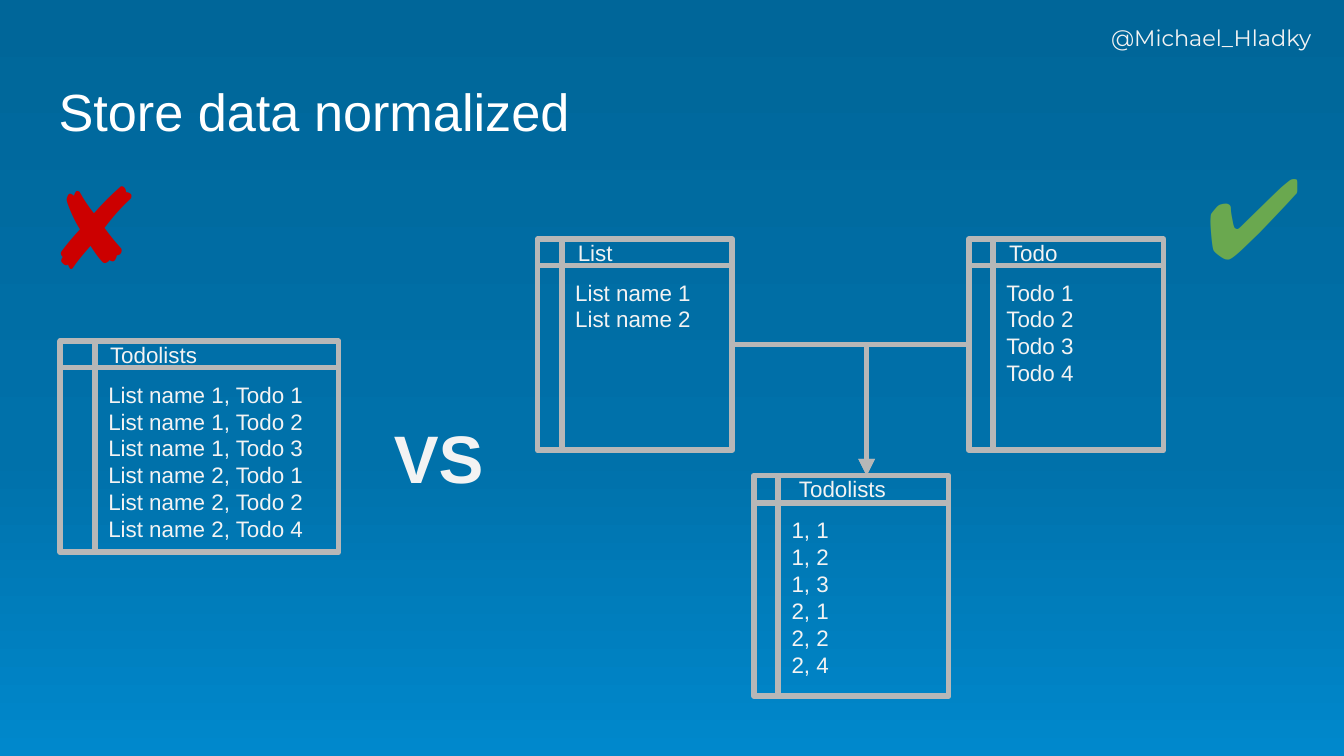
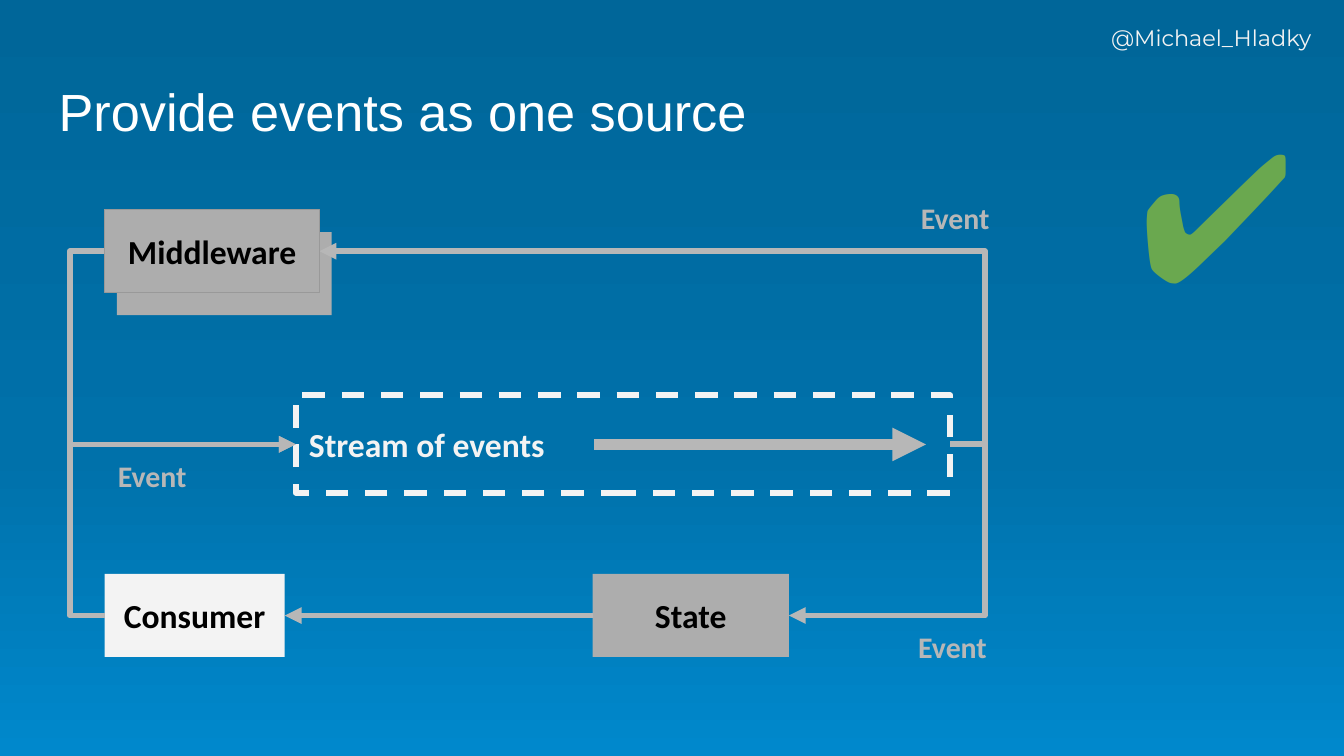
from copy import deepcopy

from lxml.etree import SubElement
from pptx import Presentation
from pptx.dml.color import RGBColor
from pptx.enum.dml import MSO_LINE
from pptx.enum.shapes import MSO_CONNECTOR as Link, MSO_SHAPE as Preset
from pptx.enum.text import MSO_ANCHOR as Anchor, PP_ALIGN as Align
from pptx.oxml.ns import qn
from pptx.util import Cm, Pt

WHITE, PALE, LINE_GRAY = "FFFFFF", "F3F3F3", "B7B7B7"
CARD_GRAY, EDGE_GRAY, BLACK = "ADADAD", "999999", "000000"
RED, GREEN = "CC0000", "6AA84F"
BACKDROP = [(0, "006699"), (0.6, "0071AA"), (1, "0088CC")]
INSET = 0.25
CARD_HEIGHT = 1.57


def rgb(color):
    return RGBColor.from_string(color)


def set_backdrop(master):
    """Give every slide the shared vertical three-colour gradient."""
    fill = master.background.fill
    fill.gradient()
    fill.gradient_angle = 270
    stop_list = master.element.find(".//" + qn("a:gsLst"))
    stop_list.append(deepcopy(stop_list[-1]))
    for stop, (position, color) in zip(fill.gradient_stops, BACKDROP):
        stop.position = position
        stop.color.rgb = rgb(color)


def write(shape, lines, size, color=PALE, font="Arial", bold=False,
          align=Align.LEFT, anchor=Anchor.TOP):
    frame = shape.text_frame
    frame.word_wrap = True
    frame.vertical_anchor = anchor
    frame.margin_left = frame.margin_right = Cm(INSET)
    frame.margin_top = frame.margin_bottom = Cm(INSET)
    frame.text = "\n".join(lines)
    for paragraph in frame.paragraphs:
        paragraph.alignment = align
        paragraph.font.name = font
        paragraph.font.size = Pt(size)
        paragraph.font.bold = bold
        paragraph.font.color.rgb = rgb(color)


def add_label(slide, box, text, size, **style):
    write(slide.shapes.add_textbox(*map(Cm, box)), [text], size, **style)


def draw_line(line, color, width):
    line.color.rgb = rgb(color)
    line.width = Pt(width)


def add_box(slide, preset, box, fill=None, edge=None, width=3):
    shape = slide.shapes.add_shape(preset, *map(Cm, box))
    shape.shadow.inherit = False
    if fill:
        shape.fill.solid()
        shape.fill.fore_color.rgb = rgb(fill)
    else:
        shape.fill.background()
    if edge:
        draw_line(shape.line, edge, width)
        SubElement(shape.line._get_or_add_ln(), qn("a:round"))
    else:
        shape.line.fill.background()
    return shape


def add_card(slide, box, text, fill=CARD_GRAY, **edge):
    card = add_box(slide, Preset.RECTANGLE, box, fill, **edge)
    write(card, [text], 18, BLACK, "Calibri", True, Align.CENTER, Anchor.MIDDLE)
    return card


def add_entity(slide, box, name, rows, indent=0.51):
    """Draw a storage symbol with its rows and its name in the top strip."""
    left, top, width, _ = box
    storage = add_box(slide, Preset.FLOWCHART_INTERNAL_STORAGE, box, edge=LINE_GRAY)
    write(storage, rows, 12)
    add_label(slide, (left + indent, top, width - indent, 0.51), name, 12,
              anchor=Anchor.MIDDLE)


def add_arrow(slide, start, end, kind=Link.STRAIGHT, width=3):
    arrow = slide.shapes.add_connector(kind, *map(Cm, start + end))
    draw_line(arrow.line, LINE_GRAY, width)
    ln = arrow.line._get_or_add_ln()
    SubElement(ln, qn("a:round"))
    SubElement(ln, qn("a:tailEnd"), type="triangle")
    SubElement(arrow.element.spPr, qn("a:effectLst"))
    return arrow


def add_corner_arrow(slide, start, end):
    """Run sideways from start, then turn once towards end."""
    arrow = add_arrow(slide, start, end, Link.ELBOW)
    arrow.element.spPr.find(qn("a:prstGeom")).set("prst", "bentConnector2")


def add_rail_arrow(slide, start, end, rail):
    """Run from start to end by way of a vertical rail at the given x."""
    arrow = add_arrow(slide, start, end, Link.ELBOW)
    ratio = (rail - start[0]) / (end[0] - start[0])
    SubElement(arrow.element.spPr.find(".//" + qn("a:avLst")), qn("a:gd"),
               name="adj1", fmla=f"val {round(ratio * 100000)}")


def add_mark(slide, box, symbol, size, color, font):
    add_label(slide, box, symbol, size, color=color, font=font, anchor=Anchor.MIDDLE)


def add_titled_slide(deck, title):
    slide = deck.slides.add_slide(deck.slide_layouts[6])
    add_label(slide, (20.75, 0.2, 4.32, 1.14), "@Michael_Hladky", 12, font="Montserrat")
    add_label(slide, (0.86, 1.24, 23.67, 1.6), title, 28, color=WHITE)
    return slide


def build_normalized(deck):
    slide = add_titled_slide(deck, "Store data normalized")
    pairs = [(1, 1), (1, 2), (1, 3), (2, 1), (2, 2), (2, 4)]
    width, height, top = 3.68, 3.99, 4.52
    list_left, todo_left, join_top = 10.16, 18.31, 8.99

    add_entity(slide, (1.14, 6.45, 5.26, height), "Todolists",
               [f"List name {item}, Todo {todo}" for item, todo in pairs], 0.69)
    add_entity(slide, (list_left, top, width, height), "List",
               [f"List name {n}" for n in (1, 2)])
    add_entity(slide, (todo_left, top, width, height), "Todo",
               [f"Todo {n}" for n in range(1, 5)])
    add_entity(slide, (14.25, join_top, width, 4.17), "Todolists",
               [f"{item}, {todo}" for item, todo in pairs], 0.6)

    for side in (list_left + width, todo_left):
        add_corner_arrow(slide, (side, top + height / 2), (16.38, join_top))

    add_label(slide, (6.98, 7.62, 2.62, 1.65), "VS", 36, bold=True, align=Align.CENTER)
    add_mark(slide, (0.64, 3.33, 1.88, 1.85), "✘", 60, RED, "Arial")
    add_mark(slide, (22.53, 2.97, 1.65, 2.13), "✔", 60, GREEN, "Calibri")


def build_event_source(deck):
    slide = add_titled_slide(deck, "Provide events as one source")
    card_left, card_width, bottom_top = 1.98, 4.06, 10.85
    stream_left, stream_width = 5.59, 12.37
    state_left, state_width = 11.2, 3.71
    left_rail, right_rail = 1.32, 18.62
    middleware_y, stream_y, bottom_y = 4.75, 8.4, bottom_top + CARD_HEIGHT / 2

    add_box(slide, Preset.RECTANGLE, (2.21, 4.39, card_width, CARD_HEIGHT), CARD_GRAY)
    stream = add_box(slide, Preset.RECTANGLE,
                     (stream_left, 7.47, stream_width, 1.85), edge=PALE)
    stream.line.dash_style = MSO_LINE.DASH
    write(stream, ["Stream of events"], 18, font="Calibri", bold=True,
          anchor=Anchor.MIDDLE)
    state = add_card(slide, (state_left, bottom_top, state_width, CARD_HEIGHT), "State")
    consumer = add_card(slide, (card_left, bottom_top, 3.4, CARD_HEIGHT),
                        "Consumer", PALE)

    stream_exit = (stream_left + stream_width, stream_y)
    for target in ((card_left + card_width, middleware_y),
                   (state_left + state_width, bottom_y)):
        add_rail_arrow(slide, stream_exit, target, right_rail)
    for source_y in (middleware_y, bottom_y):
        add_rail_arrow(slide, (card_left, source_y), (stream_left, stream_y), left_rail)

    update = add_arrow(slide, (state_left, bottom_y), (card_left + 3.4, bottom_y))
    update.begin_connect(state, 1)
    update.end_connect(consumer, 3)
    add_arrow(slide, (11.23, stream_y), (17.5, stream_y), width=6)

    add_card(slide, (card_left, 3.96, card_width, CARD_HEIGHT), "Middleware",
             edge=EDGE_GRAY, width=0.75)
    for left, top, align in ((16.51, 3.53, Align.RIGHT), (16.46, 11.63, Align.RIGHT),
                             (card_left, 8.41, Align.LEFT)):
        add_label(slide, (left, top, 2.44, 1.19), "Event", 16, color=LINE_GRAY,
                  font="Calibri", bold=True, align=align)
    add_mark(slide, (21.26, 2.16, 3.12, 3.61), "✔", 96, GREEN, "Calibri")


def main():
    deck = Presentation()
    deck.slide_width, deck.slide_height = Cm(25.4), Cm(14.29)
    set_backdrop(deck.slide_master)
    build_normalized(deck)
    build_event_source(deck)
    deck.save("out.pptx")


if __name__ == "__main__":
    main()
